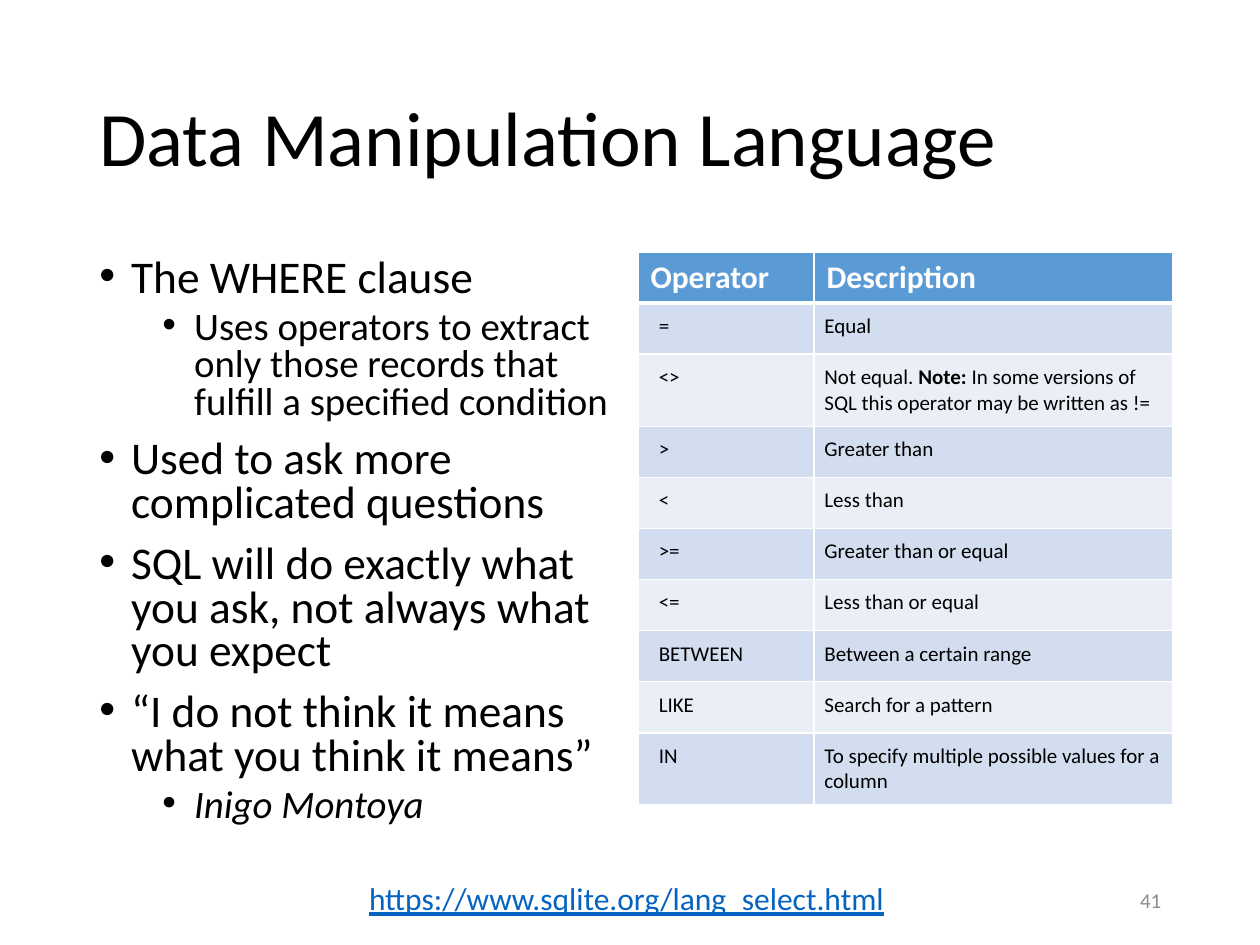
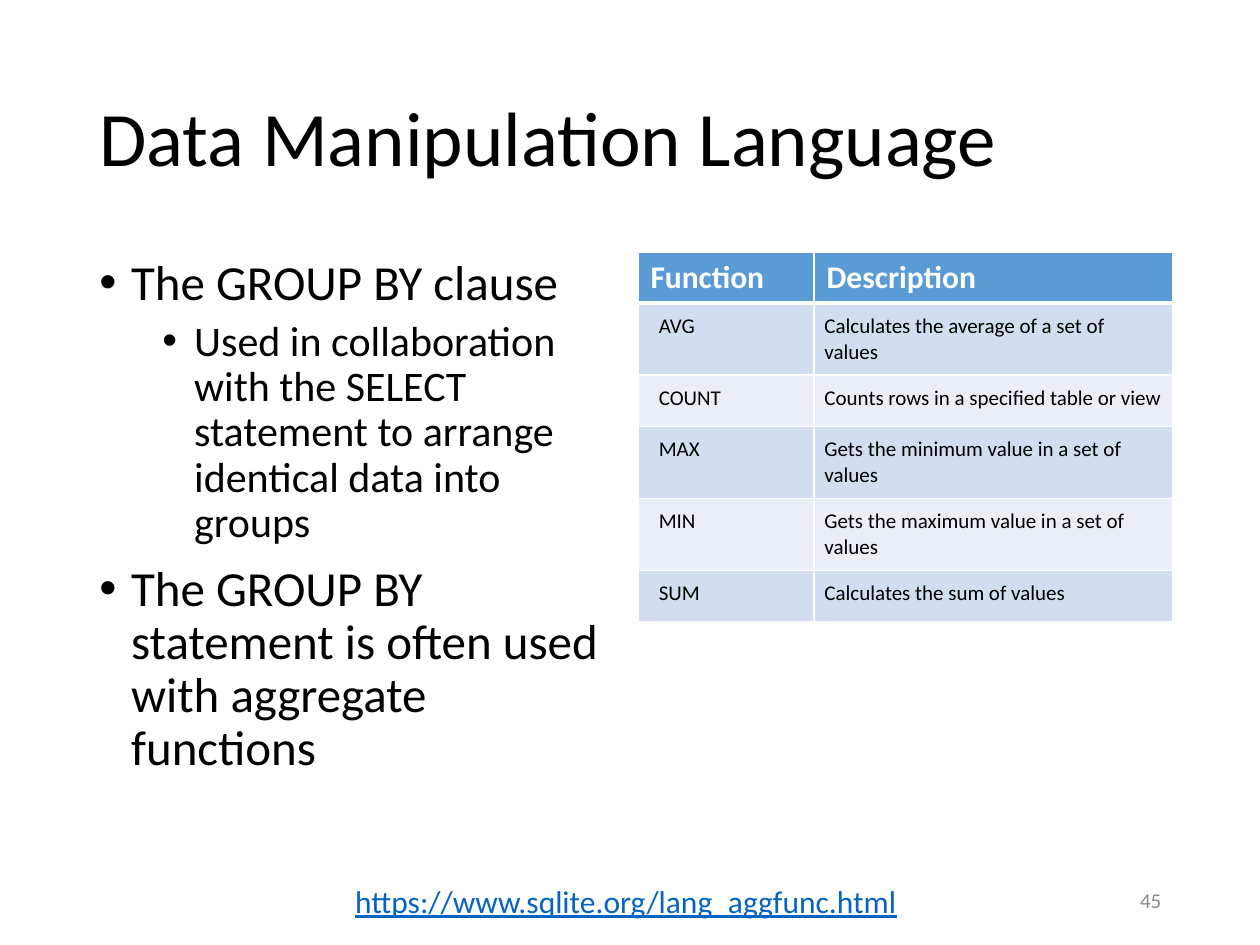
"""Build two slides on SQL clauses, each with a list and a reference table."""
import dataclasses
import typing

import lxml.etree
import pptx
import pptx.dml.color
import pptx.enum.text
import pptx.oxml.ns
import pptx.util

Cm = pptx.util.Cm
Pt = pptx.util.Pt
Align = pptx.enum.text.PP_ALIGN
Anchor = pptx.enum.text.MSO_ANCHOR
Fit = pptx.enum.text.MSO_AUTO_SIZE

INK = {
    "text": "000000",
    "white": "FFFFFF",
    "head": "5B9BD5",
    "odd": "D2DEEF",
    "even": "EAEFF7",
    "link": "0563C1",
    "page": "8C8C8C",
}
FACE = "Calibri"
COLS = (3.55, 7.24)
ROW = 1.03
EDGES = ("lnL", "lnR", "lnT", "lnB")


class Box(typing.NamedTuple):
    left: float
    top: float
    width: float
    height: float


class Item(typing.NamedTuple):
    text: str
    level: int = 0
    slant: bool = False


@dataclasses.dataclass
class Page:
    items: list[Item]
    sizes: tuple[float, float]
    lead: float
    rows: list[tuple[str, str]]
    number: str
    link: str
    spot: Box


TITLE = "Data Manipulation Language"
HEAD = Box(1.75, 1.01, 21.9, 3.68)
BODY = Box(1.75, 5.08, 10.8, 12.09)
GRID = Box(12.86, 5.08, sum(COLS), ROW)
FOOT = Box(17.94, 17.65, 5.72, 1.01)

PAGES = [
    Page(
        items=[
            Item("The WHERE clause"),
            Item("Uses operators to extract only those records that fulfill a specified condition", 1),
            Item("Used to ask more complicated questions"),
            Item("SQL will do exactly what you ask, not always what you expect"),
            Item("“I do not think it means what you think it means”"),
            Item("Inigo Montoya", 1, True),
        ],
        sizes=(25.9, 22.2),
        lead=0.8,
        rows=[
            ("Operator", "Description"),
            ("=", "Equal"),
            ("<>", "Not equal. |Note:| In some versions of SQL this operator may be written as !="),
            (">", "Greater than"),
            ("<", "Less than"),
            (">=", "Greater than or equal"),
            ("<=", "Less than or equal"),
            ("BETWEEN", "Between a certain range"),
            ("LIKE", "Search for a pattern"),
            ("IN", "To specify multiple possible values for a column"),
        ],
        number="41",
        link="https://www.sqlite.org/lang_select.html",
        spot=Box(7.19, 17.6, 11.02, 1.01),
    ),
    Page(
        items=[
            Item("The GROUP BY clause"),
            Item("Used in collaboration with the SELECT statement to arrange identical data into groups", 1),
            Item("The GROUP BY statement is often used with aggregate functions"),
        ],
        sizes=(28, 24),
        lead=0.9,
        rows=[
            ("Function", "Description"),
            ("AVG", "Calculates the average of a set of values"),
            ("COUNT", "Counts rows in a specified table or view"),
            ("MAX", "Gets the minimum value in a set of values"),
            ("MIN", "Gets the maximum value in a set of values"),
            ("SUM", "Calculates the sum of values"),
        ],
        number="45",
        link="https://www.sqlite.org/lang_aggfunc.html",
        spot=Box(6.91, 17.65, 11.56, 1.01),
    ),
]


def apply(thing: typing.Any, form: dict[str, typing.Any]) -> None:
    for name, value in form.items():
        setattr(thing, name, value)


def place(shape: typing.Any, box: Box) -> None:
    apply(shape, {name: Cm(value) for name, value in box._asdict().items()})


def shade(key: str) -> pptx.dml.color.RGBColor:
    return pptx.dml.color.RGBColor.from_string(INK[key])


def write(para: typing.Any, text: str, size: float, ink: str = "text", **form: typing.Any) -> None:
    run = para.add_run()
    run.text = text
    apply(run.font, {"name": FACE, "size": Pt(size), **form})
    run.font.color.rgb = shade(ink)


def node(root: typing.Any, tag: str, **attrs: str) -> typing.Any:
    return lxml.etree.SubElement(root, pptx.oxml.ns.qn("a:" + tag), attrs)


def draw_title(slide: typing.Any) -> None:
    shape = slide.shapes.title
    place(shape, HEAD)
    frame = shape.text_frame
    apply(frame, {"vertical_anchor": Anchor.MIDDLE, "auto_size": Fit.NONE})
    para = frame.paragraphs[0]
    apply(para, {"alignment": Align.LEFT, "line_spacing": 0.9})
    write(para, TITLE, 44)


def draw_list(slide: typing.Any, page: Page) -> None:
    shape = slide.placeholders[1]
    place(shape, BODY)
    frame = shape.text_frame
    frame.auto_size = Fit.NONE
    for index, item in enumerate(page.items):
        para = frame.add_paragraph() if index else frame.paragraphs[0]
        apply(para, {
            "level": item.level,
            "line_spacing": page.lead,
            "space_before": Pt((10, 5)[item.level]),
            "space_after": Pt(0),
        })
        props = para._p.get_or_add_pPr()
        props.set("marL", str(Cm((0.64, 1.91)[item.level])))
        props.set("indent", str(Cm(-0.64)))
        node(props, "buFont", typeface="Arial")
        node(props, "buChar", char="•")
        write(para, item.text, page.sizes[item.level], italic=item.slant)


def edge(cell: typing.Any, row: int) -> None:
    props = cell._tc.get_or_add_tcPr()
    for tag in EDGES:
        thick = (row, tag) in ((0, "lnB"), (1, "lnT"))
        line = node(props, tag, w=str(Pt(3 if thick else 1)))
        node(node(line, "solidFill"), "srgbClr", val=INK["white"])


def draw_table(slide: typing.Any, rows: list[tuple[str, str]]) -> None:
    box = GRID._replace(height=ROW * len(rows))
    table = slide.shapes.add_table(len(rows), len(COLS), *map(Cm, box)).table
    for col, width in zip(table.columns, COLS):
        col.width = Cm(width)
    for y, texts in enumerate(rows):
        table.rows[y].height = Cm(ROW)
        for x, text in enumerate(texts):
            cell = table.cell(y, x)
            edge(cell, y)
            cell.fill.solid()
            cell.fill.fore_color.rgb = shade(("even", "odd")[y % 2] if y else "head")
            para = cell.text_frame.paragraphs[0]
            if not y:
                write(para, text, 18, "white", bold=True)
                continue
            sides = dict.fromkeys(("margin_top", "margin_right", "margin_bottom"), Cm(0.21))
            apply(cell, {**sides, "margin_left": Cm(0.21 if x else 0.42)})
            for part, words in enumerate(text.split("|")):
                write(para, words, 12, bold=part % 2 == 1)


def draw_foot(slide: typing.Any, page: Page) -> None:
    number = slide.shapes.add_textbox(*map(Cm, FOOT)).text_frame
    apply(number, {"word_wrap": True, "vertical_anchor": Anchor.MIDDLE})
    number.paragraphs[0].alignment = Align.RIGHT
    write(number.paragraphs[0], page.number, 12, "page")
    link = slide.shapes.add_textbox(*map(Cm, page.spot)).text_frame
    apply(link, {"word_wrap": False, "auto_size": Fit.SHAPE_TO_FIT_TEXT})
    write(link.paragraphs[0], page.link, 18, "link", underline=True)


def main() -> None:
    deck = pptx.Presentation()
    apply(deck, {"slide_width": Cm(25.4), "slide_height": Cm(19.05)})
    for page in PAGES:
        slide = deck.slides.add_slide(deck.slide_layouts[1])
        draw_title(slide)
        draw_list(slide, page)
        draw_table(slide, page.rows)
        draw_foot(slide, page)
    deck.save("out.pptx")


if __name__ == "__main__":
    main()
